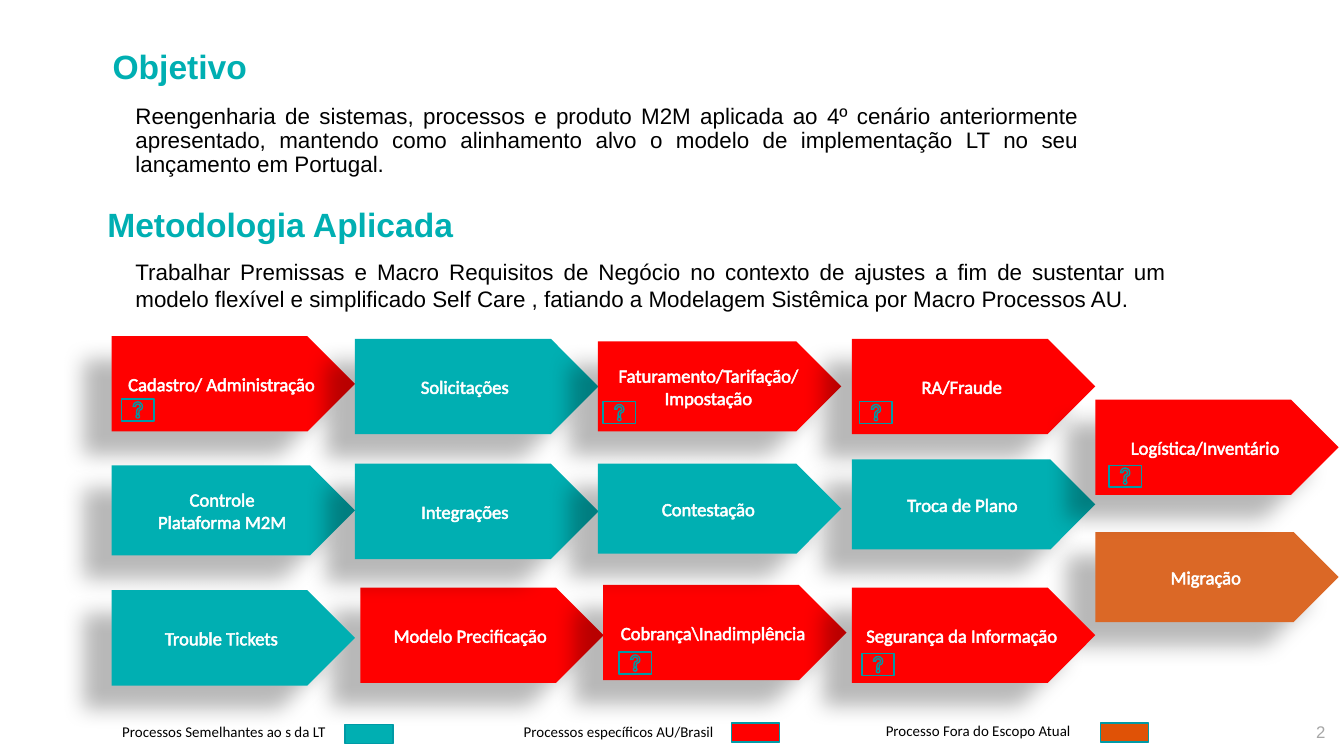
from dataclasses import dataclass
from lxml import etree
from pptx import Presentation
from pptx.dml.color import RGBColor
from pptx.enum.shapes import MSO_SHAPE
from pptx.enum.text import MSO_ANCHOR, PP_ALIGN
from pptx.oxml.ns import qn
from pptx.util import Cm, Pt

LEFT, CENTER, RIGHT, JUSTIFY = PP_ALIGN.LEFT, PP_ALIGN.CENTER, PP_ALIGN.RIGHT, PP_ALIGN.JUSTIFY
TOP, MIDDLE = MSO_ANCHOR.TOP, MSO_ANCHOR.MIDDLE
ARROW, RECTANGLE, HELP = MSO_SHAPE.PENTAGON, MSO_SHAPE.RECTANGLE, MSO_SHAPE.ACTION_BUTTON_HELP


@dataclass(frozen=True)
class Theme:
    teal: str = "00AFB2"
    red: str = "FF0000"
    orange: str = "DB6826"
    key_orange: str = "E05206"
    border: str = "009AA6"
    black: str = "000000"
    white: str = "FFFFFF"
    gray: str = "A6A6A6"
    text_font: str = "Arial"
    label_font: str = "Calibri"
    title_size: float = 18
    body_size: float = 12
    step_size: float = 10
    page_size: float = 9
    key_size: float = 8


THEME = Theme()

TITLES = [
    ("Objetivo", (1.88, 0.74, 6.6, 1.02)),
    ("Metodologia Aplicada", (1.78, 3.73, 13.3, 1.02)),
]
BODIES = [
    ("Reengenharia de sistemas, processos e produto M2M aplicada ao 4º cenário anteriormente "
     "apresentado, mantendo como alinhamento alvo o modelo de implementação LT no seu "
     "lançamento em Portugal.", (2.31, 1.86, 18.34, 1.7), 0.9),
    ("Trabalhar Premissas e Macro Requisitos de Negócio no contexto de ajustes a fim de "
     "sustentar um modelo flexível e simplificado Self Care , fatiando a Modelagem Sistêmica "
     "por Macro Processos AU.", (2.31, 4.75, 20, 1.8), 1),
]

COLUMNS = [2.11, 6.71, 11.3, 16.1, 20.7]
STEP_WIDTH, TALL, SHORT = 4.6, 1.8, 1.7
STEPS = [
    (["Modelo Precificação"], 1, 0.1, 11.1, TALL, THEME.red),
    (["Cadastro/ Administração"], 0, 0, 6.35, TALL, THEME.red),
    (["Controle", "Plataforma M2M"], 0, 0, 8.79, SHORT, THEME.teal),
    (["Solicitações"], 1, 0, 6.4, TALL, THEME.teal),
    (["Integrações"], 1, 0, 8.76, TALL, THEME.teal),
    (["Faturamento/Tarifação/", "Impostação"], 2, 0, 6.45, SHORT, THEME.red),
    (["Trouble Tickets"], 0, 0, 11.15, TALL, THEME.teal),
    (["Migração"], 4, 0, 10.05, SHORT, THEME.orange),
    (["RA/Fraude"], 3, 0, 6.4, TALL, THEME.red),
    (["Troca de Plano"], 3, 0, 8.68, SHORT, THEME.teal),
    (["Cobrança\\Inadimplência"], 2, 0.1, 11.05, TALL, THEME.red),
    (["Contestação"], 2, 0, 8.76, SHORT, THEME.teal),
    (["Segurança da Informação"], 3, 0, 11.1, TALL, THEME.red),
    (["Logística/Inventário"], 4, 0, 7.55, TALL, THEME.red),
]
HELP_MARKS = [(2.3, 7.54), (11.4, 7.59), (16.25, 7.59), (11.7, 12.32), (16.29, 12.35), (20.96, 8.79)]
HELP_SIZE = (0.61, 0.41)

KEYS = [
    ("Processos Semelhantes ao s da LT", 2.06, 13.56, LEFT, 6.52, 13.69, THEME.teal),
    ("Processos específicos AU/Brasil", 6.5, 13.56, RIGHT, 13.82, 13.66, THEME.red),
    ("Processo Fora do Escopo Atual", 13.25, 13.54, RIGHT, 20.8, 13.66, THEME.key_orange),
]
KEY_TEXT_SIZE = (7.24, 0.58)
SWATCH_SIZE = (0.91, 0.36)


def color(code):
    return RGBColor.from_string(code)


def write(shape, lines, font, size, ink, align, bold=False, spacing=1, anchor=TOP):
    frame = shape.text_frame
    frame.word_wrap = True
    frame.vertical_anchor = anchor
    for index, line in enumerate(lines):
        para = frame.paragraphs[0] if index == 0 else frame.add_paragraph()
        para.text = line
        para.alignment = align
        para.line_spacing = spacing
        para.font.name = font
        para.font.size = Pt(size)
        para.font.bold = bold
        para.font.color.rgb = color(ink)


def add_text(page, place, *style, **options):
    box = page.shapes.add_textbox(*map(Cm, place))
    write(box, *style, **options)


def add_block(page, kind, place, fill=None, line=None):
    shape = page.shapes.add_shape(kind, *map(Cm, place))
    shape.shadow.inherit = False
    if fill:
        shape.fill.solid()
        shape.fill.fore_color.rgb = color(fill)
    else:
        shape.fill.background()
    if line:
        shape.line.color.rgb = color(line)
        shape.line.width = Pt(0.75)
    else:
        shape.line.fill.background()
    return shape


def add_shadow(shape):
    effects = shape._element.spPr.find(qn("a:effectLst"))
    shadow = etree.SubElement(effects, qn("a:outerShdw"), blurRad=str(Pt(11.8)),
                              dist=str(Pt(19.7)), dir=str(141 * 60000), rotWithShape="0")
    tint = etree.SubElement(shadow, qn("a:srgbClr"), val=THEME.black)
    etree.SubElement(tint, qn("a:alpha"), val="28000")


def outline_text(shape):
    for para in shape.text_frame.paragraphs:
        for span in para.runs:
            outline = etree.Element(qn("a:ln"), w=str(Pt(0.75)))
            fill = etree.SubElement(outline, qn("a:solidFill"))
            etree.SubElement(fill, qn("a:srgbClr"), val=THEME.white)
            span._r.get_or_add_rPr().insert(0, outline)


def main():
    deck = Presentation()
    deck.slide_width, deck.slide_height = Cm(25.4), Cm(14.28)
    page = deck.slides.add_slide(deck.slide_layouts[6])

    for text, place in TITLES:
        add_text(page, place, [text], THEME.text_font, THEME.title_size, THEME.teal, LEFT, bold=True)
    for text, place, spacing in BODIES:
        add_text(page, place, [text], THEME.text_font, THEME.body_size, THEME.black, JUSTIFY,
                 spacing=spacing)
    add_text(page, (23.9, 13.51, 1.4, 0.76), ["2"], THEME.text_font, THEME.page_size,
             THEME.gray, RIGHT)

    for lines, column, shift, top, height, fill in STEPS:
        step = add_block(page, ARROW, (COLUMNS[column] + shift, top, STEP_WIDTH, height), fill)
        add_shadow(step)
        write(step, lines, THEME.label_font, THEME.step_size, THEME.white, CENTER, anchor=MIDDLE)
        outline_text(step)

    for text, left, top, align, swatch_left, swatch_top, fill in KEYS:
        add_text(page, (left, top, *KEY_TEXT_SIZE), [text], THEME.label_font, THEME.key_size,
                 THEME.black, align, spacing=0.93)
        add_block(page, RECTANGLE, (swatch_left, swatch_top, *SWATCH_SIZE), fill, THEME.border)

    for corner in HELP_MARKS:
        add_block(page, HELP, (*corner, *HELP_SIZE), line=THEME.border)

    deck.save("out.pptx")


if __name__ == "__main__":
    main()
